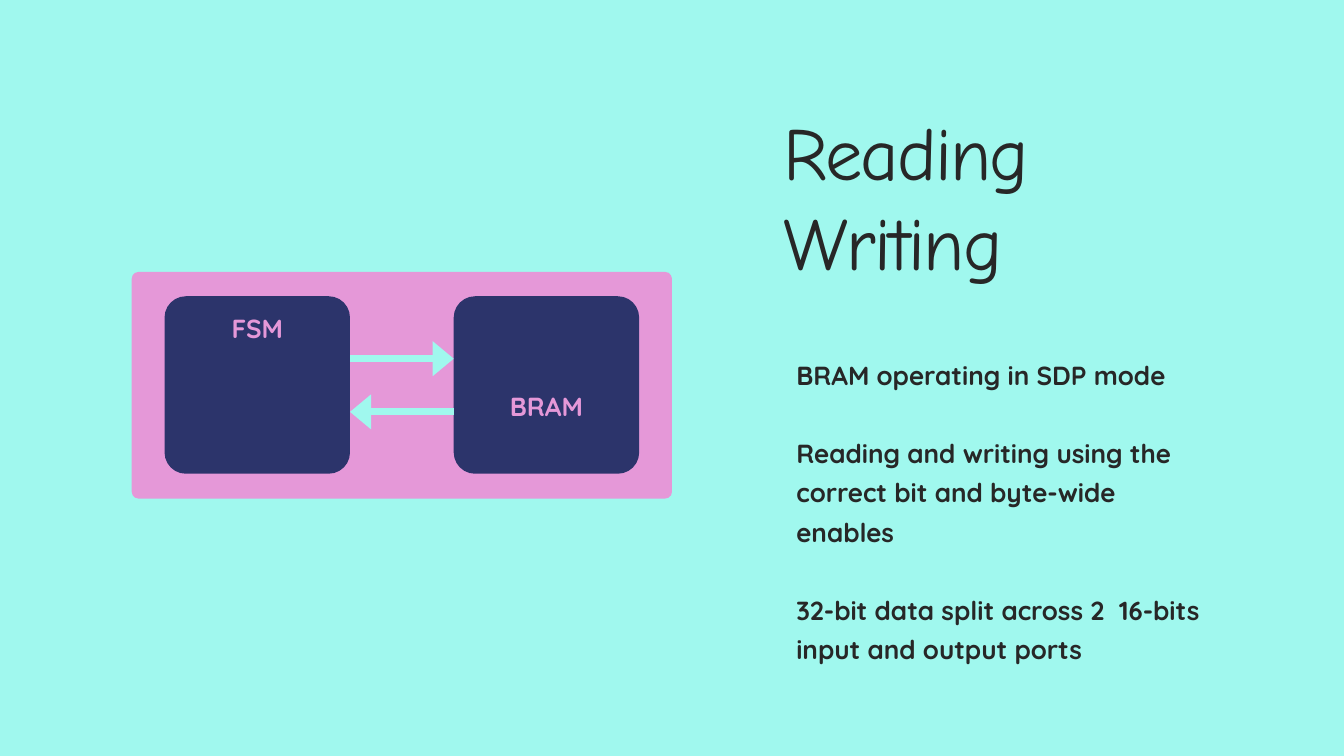
"""Builds the slide on reading and writing a BRAM from a state machine."""
from lxml import etree
from pptx import Presentation
from pptx.dml.color import RGBColor
from pptx.enum.shapes import MSO_CONNECTOR, MSO_SHAPE
from pptx.enum.text import MSO_ANCHOR, MSO_AUTO_SIZE, PP_ALIGN
from pptx.oxml.ns import qn
from pptx.util import Cm, Pt

ROUNDED = MSO_SHAPE.ROUNDED_RECTANGLE
STRAIGHT = MSO_CONNECTOR.STRAIGHT
LEFT, CENTER = PP_ALIGN.LEFT, PP_ALIGN.CENTER
AQUA, PINK, NAVY, INK = "A0F8EE", "E598D8", "2C346B", "272727"


def rgb(value):
    return RGBColor.from_string(value)


def write(holder, box, lines, align, line_height, gap, color, font_format):
    holder.left, holder.top, holder.width, holder.height = (Cm(v) for v in box)
    frame = holder.text_frame
    frame_format = {
        "margin_left": 0, "margin_top": 0, "margin_right": 0, "margin_bottom": 0,
        "word_wrap": True, "auto_size": MSO_AUTO_SIZE.NONE,
        "vertical_anchor": MSO_ANCHOR.TOP,
    }
    for key, value in frame_format.items():
        setattr(frame, key, value)
    frame.text = "\n".join(lines)
    for number, paragraph in enumerate(frame.paragraphs):
        properties = paragraph._p.get_or_add_pPr()
        properties.set("marL", "0")
        properties.set("indent", "0")
        etree.SubElement(properties, qn("a:buNone"))
        paragraph.alignment = align
        paragraph.line_spacing = Pt(line_height)
        paragraph.space_before = Pt(gap if number else 0)
        paragraph.space_after = Pt(0)
        for run in paragraph.runs:
            for key, value in font_format.items():
                setattr(run.font, key, value)
            run.font.color.rgb = rgb(color)


presentation = Presentation()
presentation.slide_width, presentation.slide_height = Cm(50.8), Cm(28.58)
slide = presentation.slides.add_slide(presentation.slide_layouts[1])
slide.background.fill.solid()
slide.background.fill.fore_color.rgb = rgb(AQUA)

title_font = {"name": "Comic Neue", "size": Pt(80), "bold": False}
text_font = {"name": "Quicksand", "size": Pt(28), "bold": True}

block_top, block_width, block_height = 11.2, 7.01, 6.71
fsm_left, bram_left = 6.22, 17.15
blocks = [
    (4.98, 10.28, 20.42, 8.57, 0.03, PINK),
    (fsm_left, block_top, block_width, block_height, 0.12, NAVY),
    (bram_left, block_top, block_width, block_height, 0.12, NAVY),
]
for left, top, width, height, rounding, color in blocks:
    block = slide.shapes.add_shape(ROUNDED, Cm(left), Cm(top), Cm(width), Cm(height))
    block.adjustments[0] = rounding
    block.shadow.inherit = False
    block.fill.solid()
    block.fill.fore_color.rgb = rgb(color)
    block.line.fill.background()

fsm_right = fsm_left + block_width
for start, end, level in [(fsm_right, bram_left, 13.56), (bram_left, fsm_right, 15.57)]:
    signal = slide.shapes.add_connector(STRAIGHT, Cm(start), Cm(level), Cm(end), Cm(level))
    signal.line.color.rgb = rgb(AQUA)
    signal.line.width = Pt(7.5)
    etree.SubElement(signal.line._get_or_add_ln(), qn("a:tailEnd"), type="triangle", w="lg", len="med")
    etree.SubElement(signal._element.spPr, qn("a:effectLst"))

title, points = slide.placeholders
write(points, (30.1, 13.28, 15.37, 11.58), [
    "BRAM operating in SDP mode",
    "Reading and writing using the correct bit and byte-wide enables",
    "32-bit data split across 2  16-bits input and output ports",
], LEFT, 42, 42, INK, text_font)
write(title, (29.62, 4.01, 15.37, 6.78), ["Reading", "Writing"], LEFT, 96, 0, INK, title_font)
for paragraph in title.text_frame.paragraphs:
    for run in paragraph.runs:
        run.font._element.set("spc", "-200")

label_width, label_height = 5.44, 1.37
for label, block_left, top in [("FSM", fsm_left, 11.63), ("BRAM", bram_left, 14.58)]:
    left = block_left + (block_width - label_width) / 2
    label_box = slide.shapes.add_textbox(0, 0, 0, 0)
    write(label_box, (left, top, label_width, label_height), [label], CENTER, 39.2, 0, PINK, text_font)

presentation.save("out.pptx")
